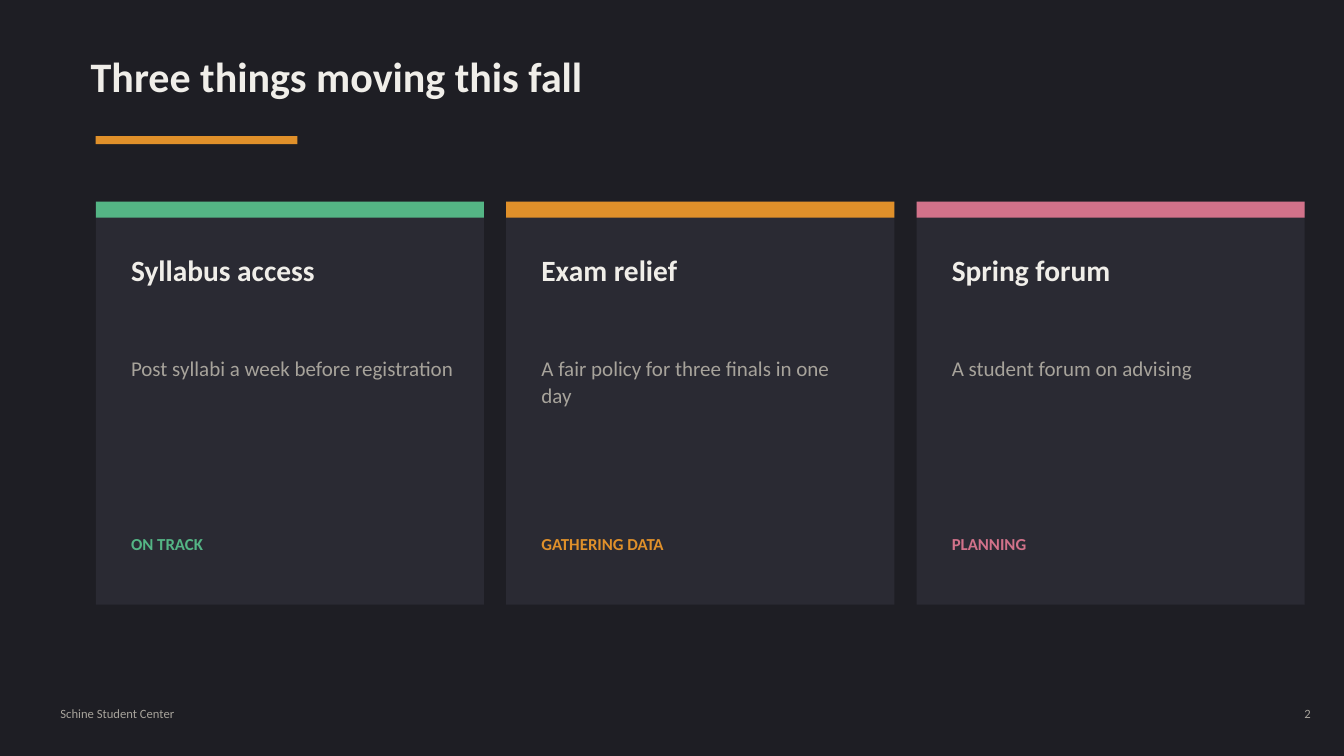
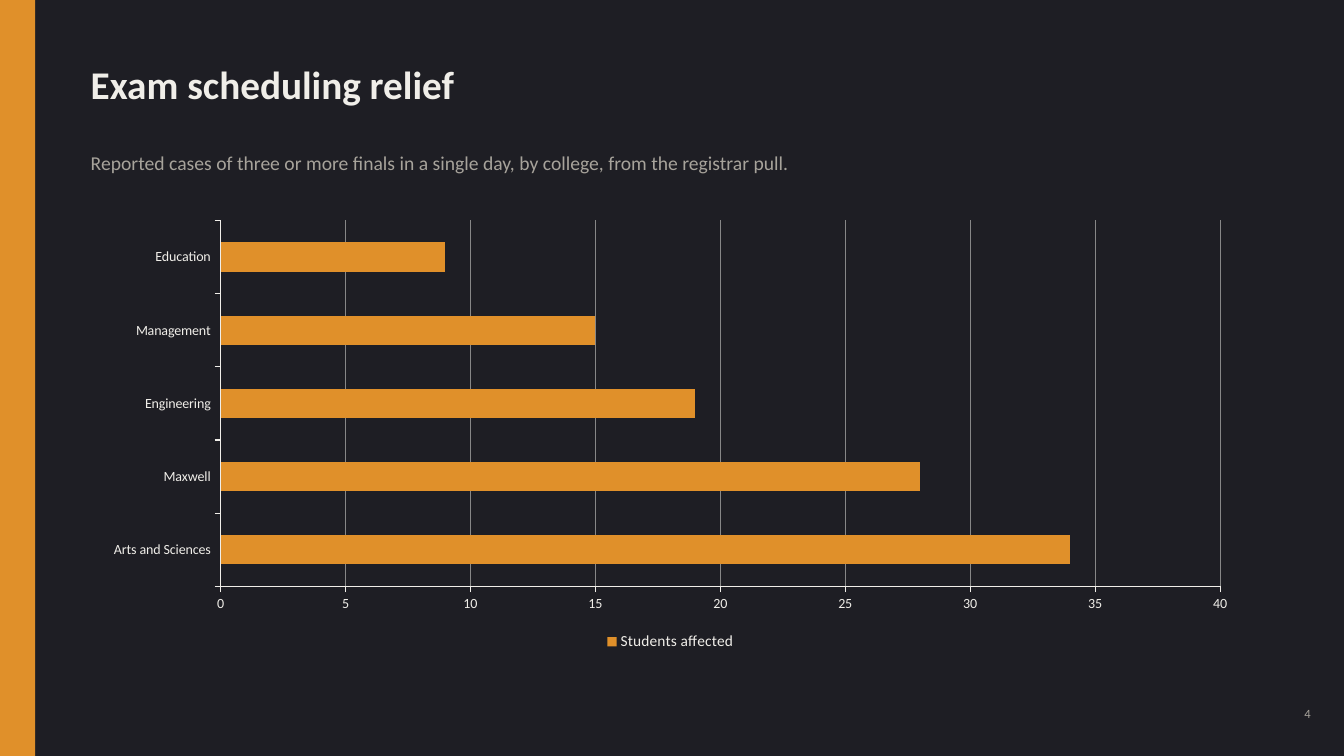
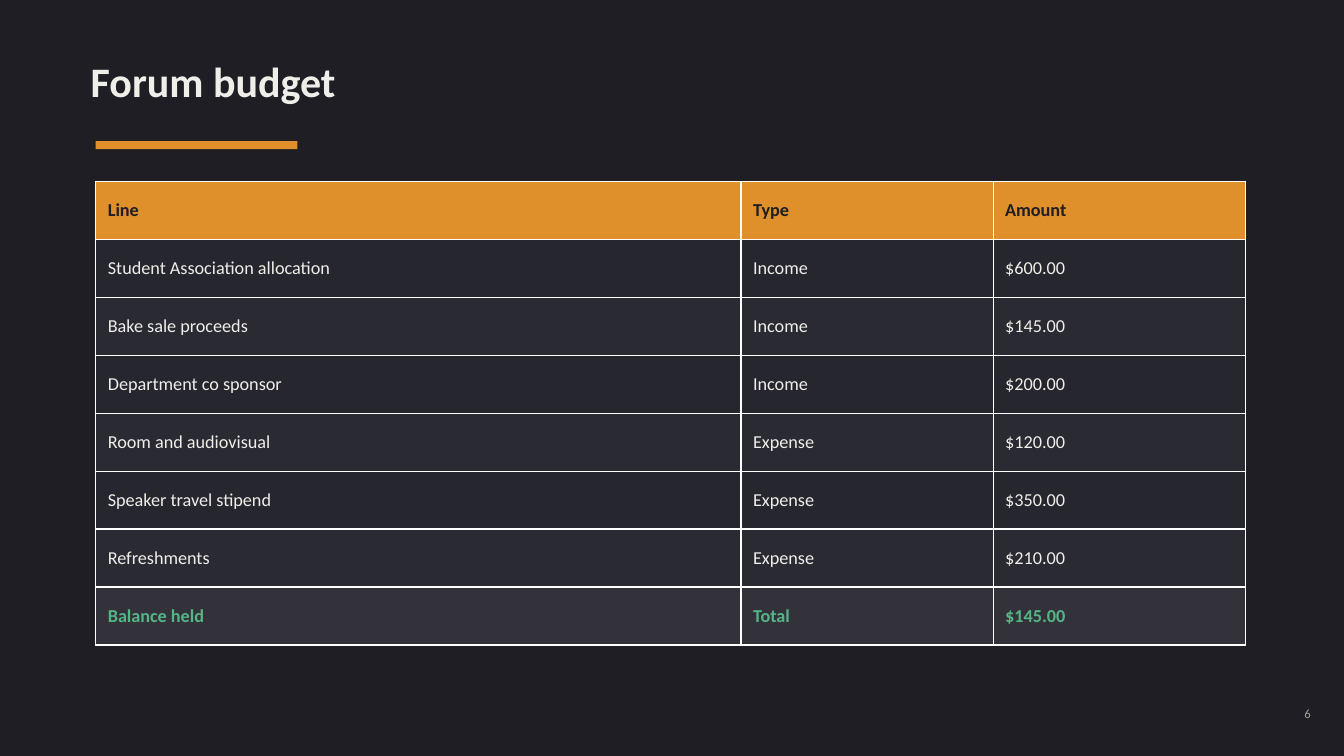
from pptx import Presentation
from pptx.chart.data import CategoryChartData
from pptx.dml.color import RGBColor
from pptx.enum.chart import XL_CHART_TYPE, XL_LEGEND_POSITION, XL_TICK_MARK
from pptx.enum.shapes import MSO_SHAPE
from pptx.enum.text import MSO_ANCHOR, MSO_AUTO_SIZE, PP_ALIGN
from pptx.util import Inches, Pt

RECT = MSO_SHAPE.RECTANGLE
TOP, MIDDLE = MSO_ANCHOR.TOP, MSO_ANCHOR.MIDDLE
LEFT, RIGHT = PP_ALIGN.LEFT, PP_ALIGN.RIGHT
NO_FIT = MSO_AUTO_SIZE.NONE
BAR = XL_CHART_TYPE.BAR_CLUSTERED
BOTTOM = XL_LEGEND_POSITION.BOTTOM
OUTSIDE = XL_TICK_MARK.OUTSIDE

FONT = "Calibri"
BG, CARD, CARD_ALT, TOTAL = "1E1E24", "2A2A33", "26262E", "33323B"
INK, MUTED = "F0EEE9", "A7A39B"
ORANGE, GREEN, PINK = "E0902A", "54B585", "D2728A"

CARDS = [
    ("Syllabus access", "Post syllabi a week before registration", "ON TRACK", GREEN),
    ("Exam relief", "A fair policy for three finals in one day", "GATHERING DATA", ORANGE),
    ("Spring forum", "A student forum on advising", "PLANNING", PINK),
]
CASES = {"Arts and Sciences": 34, "Maxwell": 28, "Engineering": 19,
         "Management": 15, "Education": 9}
BUDGET = [
    ("Line", "Type", "Amount"),
    ("Student Association allocation", "Income", "$600.00"),
    ("Bake sale proceeds", "Income", "$145.00"),
    ("Department co sponsor", "Income", "$200.00"),
    ("Room and audiovisual", "Expense", "$120.00"),
    ("Speaker travel stipend", "Expense", "$350.00"),
    ("Refreshments", "Expense", "$210.00"),
    ("Balance held", "Total", "$145.00"),
]


def rgb(color):
    return RGBColor.from_string(color)


def inches(*lengths):
    return [Inches(v) for v in lengths]


def set_font(font, size, color, bold=False):
    font.name, font.size, font.bold = FONT, Pt(size), bold
    font.color.rgb = rgb(color)


def write(tf, text, size, color, bold=False, align=LEFT, spacing=None):
    p = tf.paragraphs[0]
    p.alignment = align
    if spacing:
        p.line_spacing = spacing
    r = p.add_run()
    r.text = text
    set_font(r.font, size, color, bold)


def bare_frame(tf):
    """Wrap text from the top left corner, without insets."""
    tf.word_wrap, tf.auto_size, tf.vertical_anchor = True, NO_FIT, TOP
    tf.margin_left = tf.margin_top = tf.margin_right = tf.margin_bottom = 0


def add_text(s, box, text, **fmt):
    tf = s.shapes.add_textbox(*inches(*box)).text_frame
    bare_frame(tf)
    write(tf, text, **fmt)


def add_rect(s, box, color):
    sp = s.shapes.add_shape(RECT, *inches(*box))
    sp.shadow.inherit = False
    sp.fill.solid()
    sp.fill.fore_color.rgb = rgb(color)
    sp.line.fill.background()


def add_slide(prs, title, number, top, size=30, rule=True):
    s = prs.slides.add_slide(prs.slide_layouts[5])
    sp = s.shapes.title
    sp.left, sp.top, sp.width, sp.height = inches(0.9, top, 11.5, 1)
    bare_frame(sp.text_frame)
    write(sp.text_frame, title, size, INK, bold=True)
    if rule:
        add_rect(s, (0.95, top + 0.85, 2, 0.08), ORANGE)
    add_text(s, (12.4, 7, 0.6, 0.4), str(number), size=9, color=MUTED, align=RIGHT)
    return s


def add_card(s, box, heading, body, status, color):
    x, y, w, h = box
    text_x, text_w = x + 0.35, w - 0.65
    add_rect(s, box, CARD)
    add_rect(s, (x, y, w, 0.16), color)
    add_text(s, (text_x, y + 0.5, text_w, 1), heading, size=21, color=INK, bold=True)
    add_text(s, (text_x, y + 1.5, text_w, 1.6), body, size=15, color=MUTED, spacing=1.1)
    add_text(s, (text_x, y + h - 0.7, text_w, 0.5), status, size=12, color=color, bold=True)


def add_bar_chart(s, box, name, values):
    data = CategoryChartData()
    data.categories = list(values)
    data.add_series(name, list(values.values()))
    chart = s.shapes.add_chart(BAR, *inches(*box), data).chart
    chart.has_title = False
    chart.font.name, chart.font.size = FONT, Pt(18)
    for axis in (chart.category_axis, chart.value_axis):
        axis.major_tick_mark = OUTSIDE
        set_font(axis.tick_labels.font, 10, INK)
        axis.format.line.color.rgb = rgb(INK)
        axis.format.line.width = Pt(0.75)
    chart.value_axis.has_major_gridlines = True
    chart.has_legend = True
    chart.legend.position = BOTTOM
    chart.legend.include_in_layout = False
    set_font(chart.legend.font, 11, INK)
    plot = chart.plots[0]
    plot.vary_by_categories = False
    plot.gap_width = 150
    fill = plot.series[0].format.fill
    fill.solid()
    fill.fore_color.rgb = rgb(ORANGE)


def add_budget_table(s, box, rows, widths):
    table = s.shapes.add_table(len(rows), len(widths), *inches(*box)).table
    for column, width in zip(table.columns, widths):
        column.width = Inches(width)
    for i, row in enumerate(rows):
        if i == 0:
            fill, color, bold = ORANGE, BG, True
        elif i == len(rows) - 1:
            fill, color, bold = TOTAL, GREEN, True
        else:
            fill, color, bold = (CARD_ALT if i % 2 else CARD), INK, False
        for j, text in enumerate(row):
            cell = table.cell(i, j)
            cell.fill.solid()
            cell.fill.fore_color.rgb = rgb(fill)
            cell.vertical_anchor = MIDDLE
            cell.margin_left, cell.margin_right = inches(0.12, 0.08)
            cell.margin_top = cell.margin_bottom = Inches(0.04)
            write(cell.text_frame, text, 13, color, bold)


def cards_slide(prs):
    s = add_slide(prs, "Three things moving this fall", 2, top=0.5)
    width, gap = 3.85, 0.22
    for i, card in enumerate(CARDS):
        add_card(s, (0.95 + i * (width + gap), 2, width, 4), *card)
    add_text(s, (0.6, 7, 11.5, 0.4), "Schine Student Center", size=9, color=MUTED)


def chart_slide(prs):
    s = add_slide(prs, "Exam scheduling relief", 4, top=0.6, size=28, rule=False)
    add_rect(s, (0, 0, 0.35, 7.5), ORANGE)
    add_text(s, (0.9, 1.5, 11.4, 0.6),
             "Reported cases of three or more finals in a single day, "
             "by college, from the registrar pull.", size=14, color=MUTED)
    add_bar_chart(s, (0.9, 2.1, 11.5, 4.4), "Students affected", CASES)


def budget_slide(prs):
    s = add_slide(prs, "Forum budget", 6, top=0.55)
    add_budget_table(s, (0.95, 1.8, 11.4, 4.6), BUDGET, (6.4, 2.5, 2.5))


def main():
    prs = Presentation()
    prs.slide_width, prs.slide_height = inches(13.33, 7.5)
    fill = prs.slide_master.background.fill
    fill.solid()
    fill.fore_color.rgb = rgb(BG)
    cards_slide(prs)
    chart_slide(prs)
    budget_slide(prs)
    prs.save("out.pptx")


if __name__ == "__main__":
    main()
